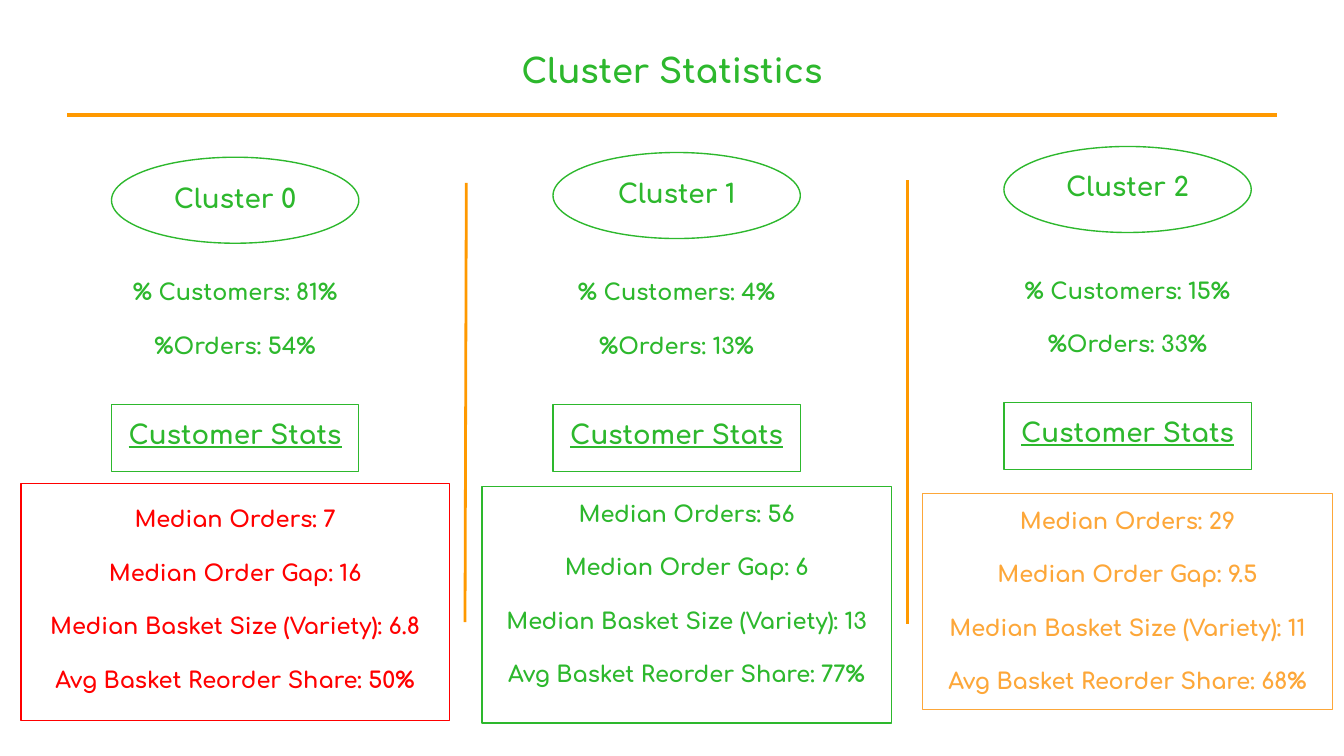
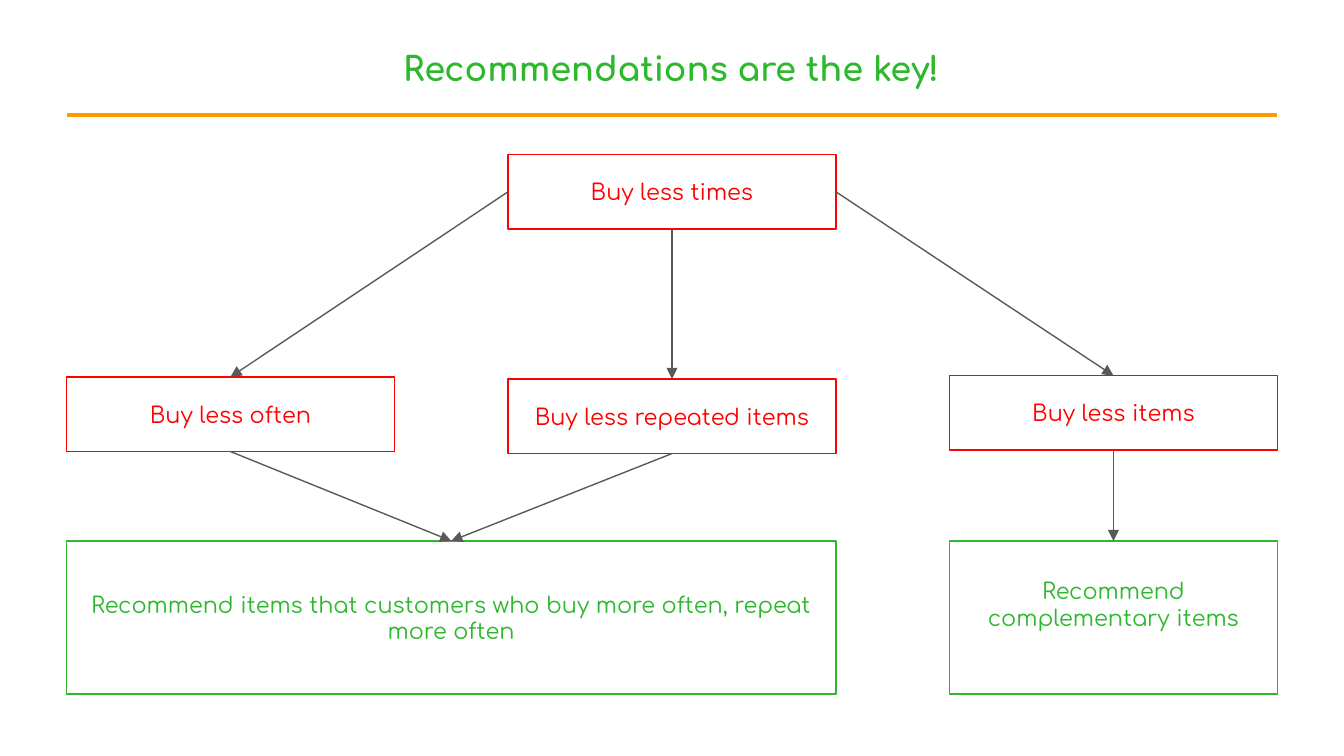
from collections import namedtuple
from dataclasses import dataclass

from lxml import etree
from pptx import Presentation, util as u
from pptx.dml.color import RGBColor
from pptx.enum import shapes, text
from pptx.oxml import ns

PX = u.Inches(1) // 200  # 200 px to the inch
Box = namedtuple("Box", "x y w h")
Cluster = namedtuple("Cluster", "name label_x oval_y name_y shares_y heading_y stats_box "
                                "stats_color stats_inset shares stats")
TOP, LEFT, BOTTOM, RIGHT = range(4)  # connection sites of a rectangle


@dataclass(frozen=True)
class Theme:
    font: str = "Comfortaa"
    green: str = "2DB82D"
    orange: str = "FF9900"
    amber: str = "FDA739"
    red: str = "FF0000"
    grey: str = "595959"
    title: int = 18
    heading: int = 14
    body: int = 12
    gap: float = 14.3
    hairline: float = 0.75
    divider: float = 1.5
    rule: float = 2.25


THEME = Theme()
SLIDE = Box(0, 0, 2000, 1125)
MIDDLE, UPPER = text.MSO_ANCHOR.MIDDLE, text.MSO_ANCHOR.TOP
LABEL_W = 368
INSET = 20

CLUSTERS = [
    Cluster("Cluster 0", 166, 234, 252, 394, 602, Box(31, 720, 638, 352), THEME.red, 32,
            ("81%", "54%"), ("7", "16", "6.8", "50%")),
    Cluster("Cluster 1", 823, 227, 244, 394, 602, Box(717, 724, 610, 352), THEME.green,
            INSET, ("4%", "13%"), ("56", "6", "13", "77%")),
    Cluster("Cluster 2", 1494, 218, 234, 392, 599, Box(1373, 734, 610, 322), THEME.amber,
            INSET, ("15%", "33%"), ("29", "9.5", "11", "68%")),
]
SHARE_LABELS = ("% Customers", "%Orders")
STAT_LABELS = ("Median Orders", "Median Order Gap",
               "Median Basket Size (Variety)", "Avg Basket Reorder Share")


def px(*lengths):
    return [u.Emu(length * PX) for length in lengths]


def write(shape, *lines, size=THEME.body, color=THEME.green, bold=False,
          underline=False, anchor=MIDDLE, gap=0, top=INSET, bottom=INSET):
    """Fill a shape with centred paragraphs in one format."""
    frame = shape.text_frame
    frame.word_wrap = True
    frame.vertical_anchor = anchor
    frame.margin_left, frame.margin_top, frame.margin_right, frame.margin_bottom = px(
        INSET, top, INSET, bottom)
    for index, line in enumerate(lines):
        paragraph = frame.add_paragraph() if index else frame.paragraphs[0]
        paragraph.alignment = text.PP_ALIGN.CENTER
        if index and gap:
            paragraph.space_before = u.Pt(gap)
        run = paragraph.add_run()
        run.text = line
        font = run.font
        font.name, font.size, font.bold = THEME.font, u.Pt(size), bold
        if underline:
            font.underline = True
        font.color.rgb = RGBColor.from_string(color)


def add_label(slide, box, *lines, **style):
    write(slide.shapes.add_textbox(*px(*box)), *lines, anchor=UPPER, **style)


def add_outline(slide, box, *lines, color=THEME.green,
                kind=shapes.MSO_SHAPE.RECTANGLE, **style):
    shape = slide.shapes.add_shape(kind, *px(*box))
    shape.shadow.inherit = False
    shape.fill.background()
    shape.line.color.rgb = RGBColor.from_string(color)
    shape.line.width = u.Pt(THEME.hairline)
    write(shape, *lines, color=color, **style)
    return shape


def add_line(slide, color, width, ends=(0, 0, 0, 0), arrow=False):
    line = slide.shapes.add_connector(shapes.MSO_CONNECTOR.STRAIGHT, *px(*ends))
    line.line.color.rgb = RGBColor.from_string(color)
    line.line.width = u.Pt(width)
    if arrow:
        etree.SubElement(line.line._get_or_add_ln(), ns.qn("a:tailEnd"), type="triangle")
    etree.SubElement(line._element.spPr, ns.qn("a:effectLst"))
    return line


def add_arrow(slide, source, source_site, target):
    arrow = add_line(slide, THEME.grey, THEME.hairline, arrow=True)
    arrow.begin_connect(source, source_site)
    arrow.end_connect(target, TOP)


def add_titled_slide(deck, title, box):
    """Blank slide with the shared title style and rule."""
    slide = deck.slides.add_slide(deck.slide_layouts[6])
    add_label(slide, box, title, size=THEME.title, bold=True)
    add_line(slide, THEME.orange, THEME.rule, (100, 171, 1900, 171))
    return slide


def pair(labels, values):
    return [f"{label}: {value}" for label, value in zip(labels, values)]


def add_cluster(slide, cluster):
    """One column: name, shares, heading and boxed statistics."""
    def label_box(y, height):
        return Box(cluster.label_x, y, LABEL_W, height)

    add_label(slide, label_box(cluster.shares_y, 170), *pair(SHARE_LABELS, cluster.shares),
              bold=True, gap=THEME.gap)
    add_label(slide, label_box(cluster.name_y, 94), cluster.name,
              size=THEME.heading, bold=True)
    add_outline(slide, label_box(cluster.oval_y, 128), kind=shapes.MSO_SHAPE.OVAL)
    add_outline(slide, cluster.stats_box, *pair(STAT_LABELS, cluster.stats),
                color=cluster.stats_color, bold=True, anchor=UPPER,
                top=cluster.stats_inset, gap=THEME.gap)
    add_outline(slide, label_box(cluster.heading_y, 100), "Customer Stats",
                size=THEME.heading, bold=True, underline=True, anchor=UPPER)


def build_statistics(deck):
    slide = add_titled_slide(deck, "Cluster Statistics", Box(233, 54, 1534, 116))
    for ends in ((694, 272, 692, 926), (1350, 268, 1350, 928)):
        add_line(slide, THEME.orange, THEME.divider, ends)
    for cluster in CLUSTERS:
        add_cluster(slide, cluster)


def add_flow(slide, area):
    """Causes in red lead down to recommendations in green."""
    cause_w, cause_h, advice_h = 488, 111, 228
    left, centre, right = (area.x + offset for offset in (0, 657, area.w - cause_w))
    advice_y = area.y + area.h - advice_h

    def cause(x, y, line):
        return add_outline(slide, Box(x, area.y + y, cause_w, cause_h), line,
                           color=THEME.red)

    def advice(x, width, line, **style):
        return add_outline(slide, Box(x, advice_y, width, advice_h), line, **style)

    fewer_times = cause(centre, 0, "Buy less times")
    less_often = cause(left, 331, "Buy less often")
    fewer_repeats = cause(centre, 334, "Buy less repeated items")
    fewer_items = cause(right, 329, "Buy less items")
    repeat_advice = advice(
        left, centre + cause_w - left,
        "Recommend items that customers who buy more often, repeat more often")
    complement_advice = advice(right, cause_w, "Recommend complementary items", bottom=60)

    for source, site, target in (
            (fewer_times, LEFT, less_often),
            (fewer_times, RIGHT, fewer_items),
            (fewer_times, BOTTOM, fewer_repeats),
            (less_often, BOTTOM, repeat_advice),
            (fewer_repeats, BOTTOM, repeat_advice),
            (fewer_items, BOTTOM, complement_advice)):
        add_arrow(slide, source, site, target)


def build_recommendations(deck):
    slide = add_titled_slide(deck, "Recommendations are the key!", Box(202, 51, 1594, 96))
    add_flow(slide, Box(99, 230, 1802, 803))


def main():
    deck = Presentation()
    deck.slide_width, deck.slide_height = px(SLIDE.w, SLIDE.h)
    build_statistics(deck)
    build_recommendations(deck)
    deck.save("out.pptx")


if __name__ == "__main__":
    main()
